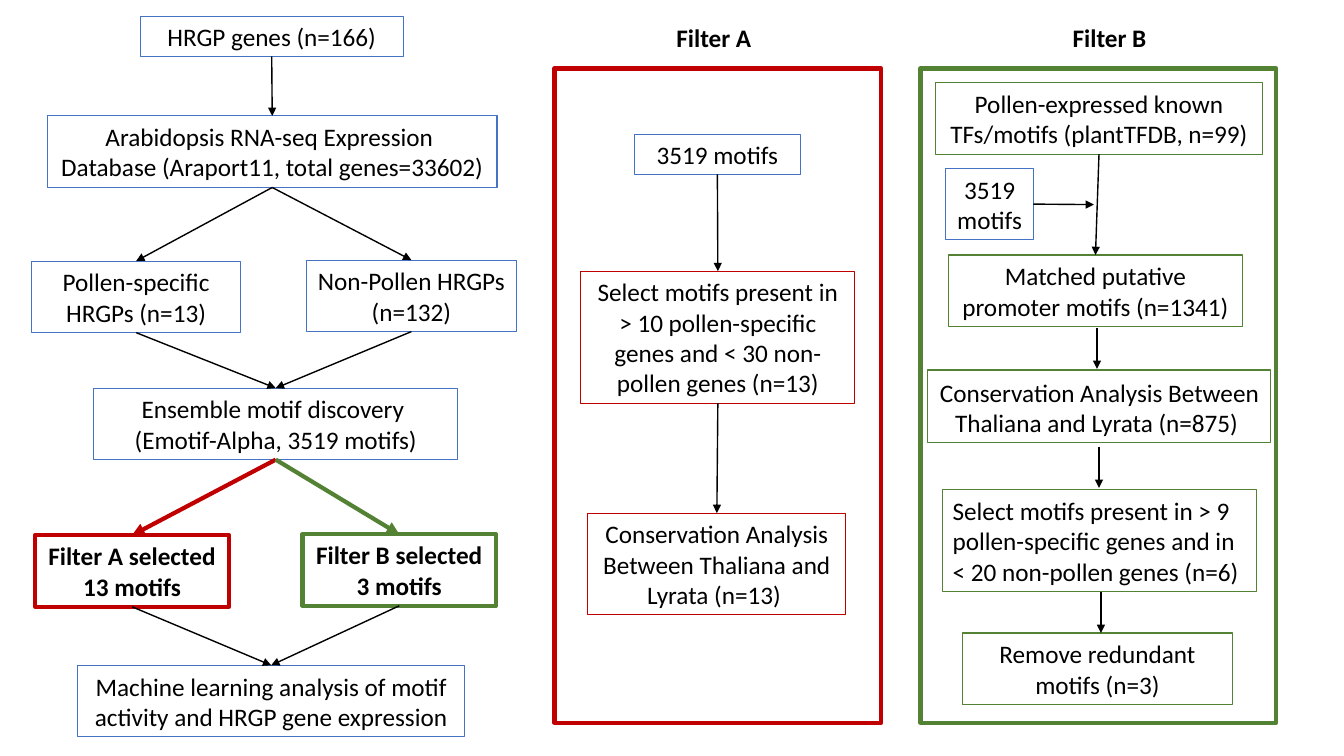
from lxml import etree
from pptx import Presentation
from pptx.dml.color import RGBColor
from pptx.enum import shapes, text
from pptx.oxml import ns
from pptx.util import Inches, Pt

BLUE = RGBColor(0x44, 0x72, 0xC4)
RED = RGBColor(0xC0, 0x00, 0x00)
GREEN = RGBColor(0x54, 0x82, 0x35)
BLACK = RGBColor(0x00, 0x00, 0x00)
THIN, THICK = 0.75, 3
TOP, LEFT, BOTTOM, RIGHT = 0, 1, 2, 3
CENTER, START = text.PP_ALIGN.CENTER, text.PP_ALIGN.LEFT


def write(frame, words, bold=False, align=CENTER, wrap=True):
    frame.text = words
    frame.word_wrap = wrap
    frame.auto_size = text.MSO_AUTO_SIZE.SHAPE_TO_FIT_TEXT
    for paragraph in frame.paragraphs:
        paragraph.alignment = align
        for run in paragraph.runs:
            run.font.name = "Calibri"
            run.font.size = Pt(18)
            run.font.bold = bold
            run.font.color.rgb = BLACK


def draw_arrow(start, end, color=BLACK, weight=1):
    """Draw a triangle-headed arrow between two (x, y) points in inches."""
    arrow = slide.shapes.add_connector(
        shapes.MSO_CONNECTOR.STRAIGHT, *map(Inches, start + end))
    arrow.line.color.rgb = color
    arrow.line.width = Pt(weight)
    etree.SubElement(arrow.line._get_or_add_ln(), ns.qn("a:tailEnd"), type="triangle")
    etree.SubElement(arrow._element.spPr, ns.qn("a:effectLst"))
    return arrow


prs = Presentation()
prs.slide_width, prs.slide_height = Inches(13.33), Inches(7.5)
slide = prs.slides.add_slide(prs.slide_layouts[6])

# Steps and panels: key, (left, top, width, height), color, line weight, words
steps = [
    ("panel A", (5.5, 0.68, 3.24, 6.49), RED, THICK, ""),
    ("panel B", (9.13, 0.68, 3.53, 6.49), GREEN, THICK, ""),
    ("genes", (1.39, 0.16, 2.61, 0.4), BLUE, THIN, "HRGP genes (n=166)"),
    ("database", (0.47, 1.15, 4.46, 0.71), BLUE, THIN,
     "Arabidopsis RNA-seq Expression \nDatabase (Araport11, total genes=33602)"),
    ("pollen", (0.31, 2.59, 2.08, 0.71), BLUE, THIN, "Pollen-specific HRGPs (n=13)"),
    ("non-pollen", (3.04, 2.58, 2.08, 0.71), BLUE, THIN, "Non-Pollen HRGPs (n=132)"),
    ("ensemble", (0.93, 3.85, 3.61, 0.71), BLUE, THIN,
     "Ensemble motif discovery \v(Emotif-Alpha, 3519 motifs)"),
    ("result A", (0.35, 5.31, 1.92, 0.71), RED, THICK, "Filter A selected 13 motifs"),
    ("result B", (3, 5.3, 1.92, 0.71), GREEN, THICK, "Filter B selected 3 motifs"),
    ("learning", (0.77, 6.6, 3.84, 0.71), BLUE, THIN,
     "Machine learning analysis of motif activity and HRGP gene expression"),
    ("motifs A", (6.29, 1.33, 1.65, 0.4), BLUE, THIN, "3519 motifs"),
    ("select A", (5.76, 2.69, 2.72, 1.31), RED, THIN,
     "Select motifs present in > 10 pollen-specific genes and < 30 non-pollen genes (n=13)"),
    ("conserved A", (5.83, 5.09, 2.56, 1.01), RED, THIN,
     "Conservation Analysis Between Thaliana and Lyrata (n=13) "),
    ("known", (9.28, 0.82, 3.24, 0.71), GREEN, THIN,
     "Pollen-expressed known TFs/motifs (plantTFDB, n=99)"),
    ("motifs B", (9.38, 1.67, 0.87, 0.71), BLUE, THIN, "3519 motifs"),
    ("matched", (9.41, 2.53, 2.91, 0.71), GREEN, THIN,
     "Matched putative promoter motifs (n=1341)"),
    ("conserved B", (9.2, 3.67, 3.4, 0.72), GREEN, 1, ""),
    ("select B", (9.35, 4.86, 3.11, 1.01), GREEN, THIN,
     "Select motifs present in > 9 pollen-specific genes and in < 20 non-pollen genes (n=6)"),
    ("reduced", (9.55, 6.28, 2.67, 0.71), GREEN, THIN, "Remove redundant motifs (n=3)"),
]
boxes = {}
for key, place, color, weight, words in steps:
    box = slide.shapes.add_shape(shapes.MSO_SHAPE.RECTANGLE, *map(Inches, place))
    box.shadow.inherit = False
    box.fill.background()
    box.line.color.rgb = color
    box.line.width = Pt(weight)
    if words:
        write(box.text_frame, words, bold=weight == THICK,
              align=START if key == "select B" else CENTER)
    boxes[key] = box

# Panel headings, and the conservation label that is wider than its box
labels = [
    ((6.61, 0.17, 0.95, 0.4), "Filter A", True, START, False),
    ((10.54, 0.17, 1, 0.4), "Filter B", True, START, False),
    ((9.14, 3.69, 3.53, 0.71),
     "Conservation Analysis Between Thaliana and Lyrata (n=875) ", False, CENTER, True),
]
for place, words, bold, align, wrap in labels:
    label = slide.shapes.add_textbox(*map(Inches, place))
    write(label.text_frame, words, bold, align, wrap)

# Arrows that run from the bottom of one step to the top of the next
flows = [
    ("genes", "database", BLACK, 1),
    ("database", "pollen", BLACK, 1),
    ("database", "non-pollen", BLACK, 1),
    ("pollen", "ensemble", BLACK, 1),
    ("non-pollen", "ensemble", BLACK, 1),
    ("ensemble", "result A", RED, THICK),
    ("ensemble", "result B", GREEN, THICK),
    ("result A", "learning", BLACK, 1),
    ("result B", "learning", BLACK, 1),
    ("motifs A", "select A", BLACK, 1),
    ("select A", "conserved A", BLACK, 1),
    ("known", "matched", BLACK, 1),
]
for source, target, color, weight in flows:
    flow = draw_arrow((0, 0), (0, 0), color, weight)
    flow.begin_connect(boxes[source], BOTTOM)
    flow.end_connect(boxes[target], TOP)

merge = draw_arrow((10.25, 2.03), (10.85, 2.03))
merge.begin_connect(boxes["motifs B"], RIGHT)

for x, top in ((10.88, 3.25), (10.9, 4.43), (10.92, 5.87)):
    draw_arrow((x, top), (x, top + 0.41))

prs.save("out.pptx")
